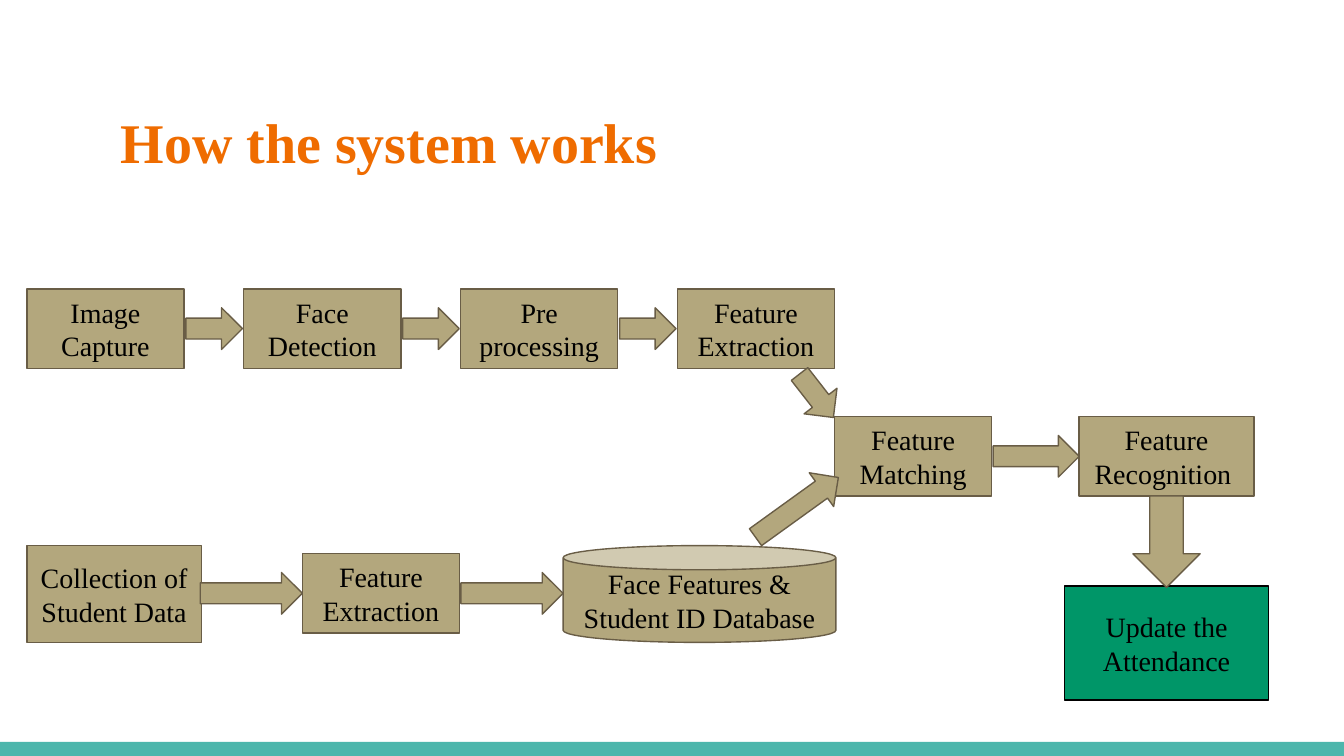
import pptx
import pptx.util
import pptx.dml.color
import pptx.enum.shapes
import pptx.enum.text

Inches = pptx.util.Inches
Pt = pptx.util.Pt
KIND = pptx.enum.shapes.MSO_SHAPE
ALIGN = pptx.enum.text.PP_ALIGN
ANCHOR = pptx.enum.text.MSO_ANCHOR

FONT = "Times New Roman"
HUES = {
    "bar": "4DB6AC",
    "title": "EF6C00",
    "step": "B3A77D",
    "edge": "695D46",
    "goal": "009668",
    "ink": "000000",
}
WIDE, HIGH = 1.17, 0.59  # usual step size
THICK = 0.31             # arrow thickness


def hue(name):
    return pptx.dml.color.RGBColor.from_string(HUES[name])


def add_text(shape, text, size, color, align, anchor, bold=False):
    frame = shape.text_frame
    frame.word_wrap = True
    frame.vertical_anchor = anchor
    frame.margin_left = frame.margin_right = Inches(0.1)
    frame.margin_top = frame.margin_bottom = Inches(0.1)
    para = frame.paragraphs[0]
    para.alignment = align
    run = para.add_run()
    run.text = text
    run.font.name = FONT
    run.font.size = Pt(size)
    run.font.bold = bold
    run.font.color.rgb = hue(color)


def add_shape(slide, kind, box, fill="step", edge="edge"):
    shape = slide.shapes.add_shape(kind, *map(Inches, box))
    shape.shadow.inherit = False
    shape.fill.solid()
    shape.fill.fore_color.rgb = hue(fill)
    if edge:
        shape.line.color.rgb = hue(edge)
        shape.line.width = Pt(0.75)
    else:
        shape.line.fill.background()
    return shape


def add_step(slide, text, left, top, wide=WIDE, high=HIGH,
             kind=KIND.RECTANGLE, fill="step", edge="edge"):
    shape = add_shape(slide, kind, (left, top, wide, high), fill, edge)
    add_text(shape, text, 15, "ink", ALIGN.CENTER, ANCHOR.MIDDLE)


def add_arrow(slide, left, top, wide, high=THICK, turn=0,
              kind=KIND.RIGHT_ARROW):
    shape = add_shape(slide, kind, (left, top, wide, high))
    shape.rotation = turn


def add_title(slide, text):
    box = slide.shapes.add_textbox(
        Inches(0.8), Inches(0.7), Inches(9.01), Inches(0.59))
    add_text(box, text, 30, "title", ALIGN.LEFT, ANCHOR.TOP, bold=True)


def main():
    # Widescreen slide, 16 to 9
    deck = pptx.Presentation()
    deck.slide_width = Inches(10)
    deck.slide_height = Inches(10 * 9 / 16)
    slide = deck.slides.add_slide(deck.slide_layouts[6])

    # Footer bar and title
    add_shape(slide, KIND.RECTANGLE, (0, 5.52, 10, 0.11), "bar", None)
    add_title(slide, "How the system works")

    # Top row: the live image
    names = ["Image Capture", "Face Detection",
             "Pre processing", "Feature Extraction"]
    first, last = 0.2, 5.04
    pitch = (last - first) / (len(names) - 1)
    for i, name in enumerate(names):
        left = first + i * pitch
        add_step(slide, name, left, 2.15)
        if i:
            add_arrow(slide, left - 0.43, 2.29, 0.42)

    # Bottom row: the stored student data
    add_step(slide, "Collection of Student Data", 0.2, 4.06, 1.3, 0.72)
    add_step(slide, "Feature Extraction", 2.25, 4.12)
    add_step(slide, "Face Features & Student ID Database",
             4.19, 4.06, 2.03, 0.72, KIND.CAN)
    for left in (1.49, 3.43):
        add_arrow(slide, left, 4.26, 0.76)

    # Matching, recognition and result
    add_step(slide, "Feature Matching", 6.21, 3.1)
    add_step(slide, "Feature Recognition ", 8.03, 3.1, 1.3)
    add_step(slide, "Update the Attendance", 7.92, 4.36, 1.52, 0.85,
             fill="goal", edge="ink")
    add_arrow(slide, 7.39, 3.24, 0.64)
    add_arrow(slide, 8.43, 3.69, 0.5, 0.68, kind=KIND.DOWN_ARROW)

    # Slanted arrows where both rows meet
    add_arrow(slide, 5.55, 3.62, 0.76, turn=324.2)
    add_arrow(slide, 5.87, 2.79, 0.41, turn=52.1)

    deck.save("out.pptx")


if __name__ == "__main__":
    main()
